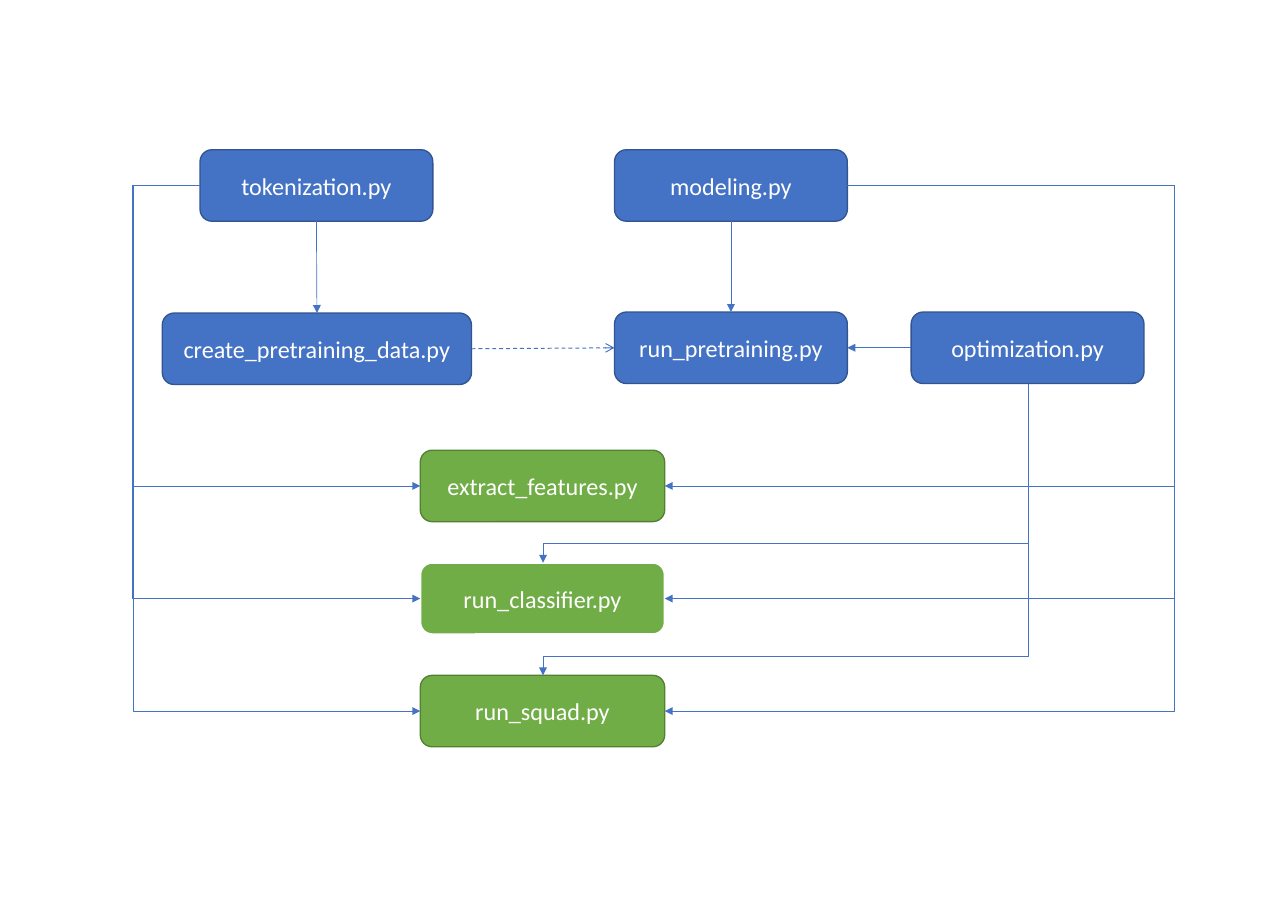
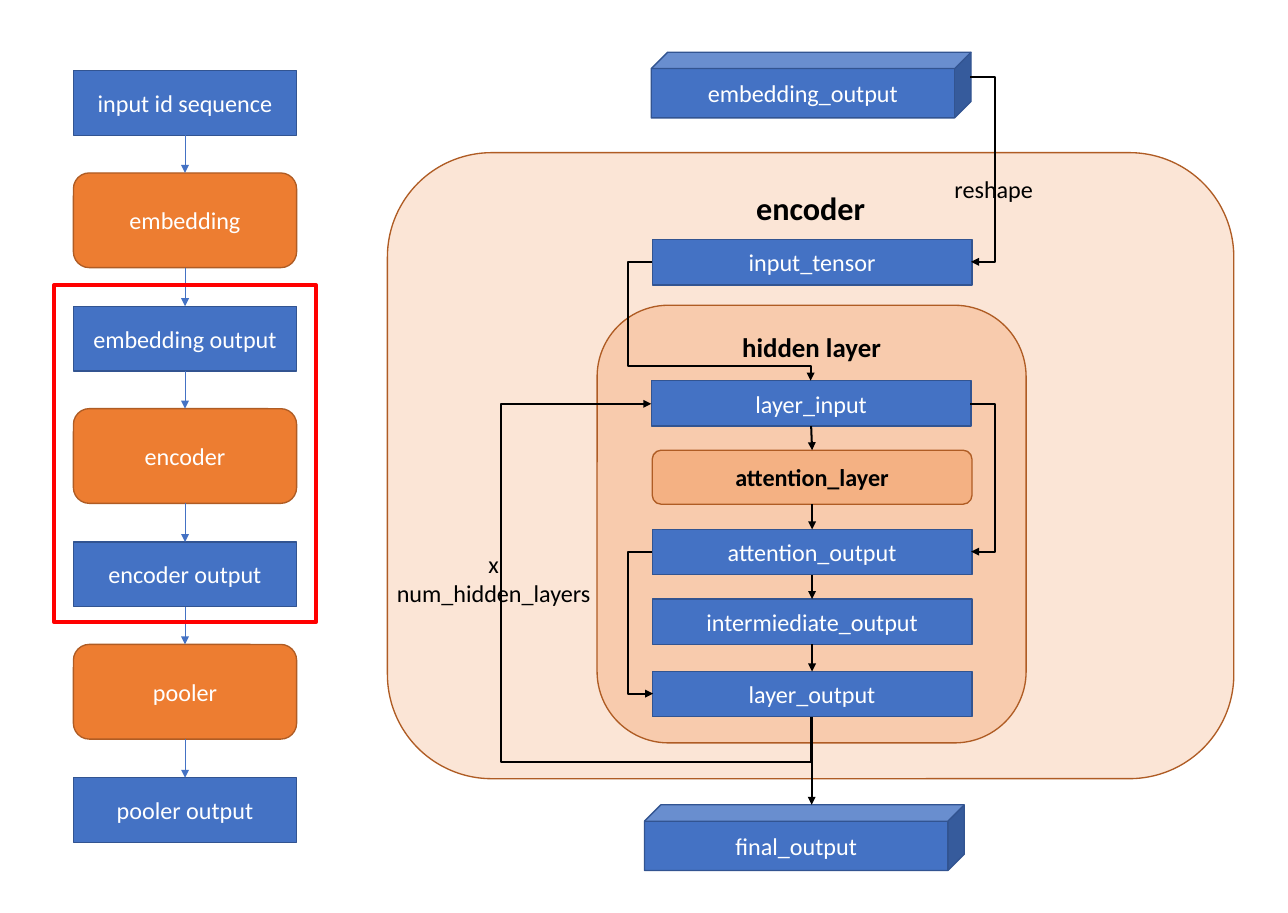
from lxml import etree
from pptx import Presentation
from pptx import util as u
from pptx.dml import color
from pptx.enum import dml, shapes, text
from pptx.oxml import ns

HUES = {"blue": "4472C4", "navy": "325491", "green": "70AD47", "moss": "538035",
        "orange": "ED7D31", "rust": "AF5C24", "cream": "FBE5D6", "peach": "F8CBAD",
        "sand": "F4B183", "red": "FF0000", "white": "FFFFFF", "black": "000000"}
FORMS = {"rect": shapes.MSO_SHAPE.RECTANGLE, "round": shapes.MSO_SHAPE.ROUNDED_RECTANGLE,
         "cube": shapes.MSO_SHAPE.CUBE}
TOP, LEFT, BOTTOM, RIGHT = range(4)
THIN = {"hue": "blue", "width": 0.5}
BOLD = {"hue": "black", "width": 1.5}


def paint(hue):
    """Return the named colour."""
    return color.RGBColor.from_string(HUES[hue])


def apply(item, **values):
    """Set each value as an attribute of the item."""
    for name, value in values.items():
        setattr(item, name, value)


class Deck:
    """Hold the shared style and the current slide."""

    font = "Calibri"
    size = 18

    def __init__(self, wide, high):
        """Start a deck of the given size."""
        self.show = Presentation()
        apply(self.show, slide_width=u.Inches(wide), slide_height=u.Inches(high))

    def page(self):
        """Add a blank slide and make it current."""
        self.items = self.show.slides.add_slide(self.show.slide_layouts[6]).shapes

    def letter(self, shape, words, hue, size=size, bold=False, align="CENTER", anchor="MIDDLE"):
        """Put one styled paragraph in a shape."""
        frame = shape.text_frame
        apply(frame, word_wrap=True, vertical_anchor=getattr(text.MSO_ANCHOR, anchor))
        para = frame.paragraphs[0]
        para.alignment = getattr(text.PP_ALIGN, align)
        run = para.add_run()
        run.text = words
        apply(run.font, name=self.font, size=u.Pt(size), bold=bold)
        run.font.color.rgb = paint(hue)

    def box(self, area, words="", form="rect", fill="blue", edge="navy", width=1,
            hue="white", **style):
        """Add a preset shape, with a label if there are words."""
        shape = self.items.add_shape(FORMS[form], *map(u.Inches, area))
        shape.shadow.inherit = False
        if fill:
            shape.fill.solid()
            shape.fill.fore_color.rgb = paint(fill)
        else:
            shape.fill.background()
        shape.line.color.rgb = paint(edge)
        shape.line.width = u.Pt(width)
        if words:
            self.letter(shape, words, hue, **style)
        return shape

    def label(self, area, words, align):
        """Add a plain text box."""
        shape = self.items.add_textbox(*map(u.Inches, area))
        self.letter(shape, words, "black", align=align, anchor="TOP")

    def wire(self, start, end, hue, width, kind="STRAIGHT", dash=None, tip="triangle",
             side="tailEnd"):
        """Add a connector with one arrowhead."""
        wire = self.items.add_connector(getattr(shapes.MSO_CONNECTOR, kind),
                                        *map(u.Inches, (*start, *end)))
        wire.line.color.rgb = paint(hue)
        apply(wire.line, width=u.Pt(width), dash_style=dash)
        line = wire.line._get_or_add_ln()
        etree.SubElement(line, ns.qn("a:" + side), type=tip)
        etree.SubElement(wire._element.spPr, ns.qn("a:effectLst"))
        return wire

    def link(self, one, out, two, into, style, **more):
        """Join the sides of two shapes with a straight arrow."""
        wire = self.wire((0, 0), (1, 1), **style, **more)
        wire.begin_connect(one, out)
        wire.end_connect(two, into)

    def bend(self, start, end, style, x, y=None, **more):
        """Add an elbow that turns at x, and at y if it ends upright."""
        wire = self.wire(start, end, kind="ELBOW", **style, **more)
        turns = [(x - start[0]) / (end[0] - start[0])]
        if y is not None:
            turns.append((y - start[1]) / (end[1] - start[1]))
        self.tune(wire, turns)

    def drop(self, start, end, style, y):
        """Add an elbow that goes down, left at y, and down again."""
        midx, midy = (start[0] + end[0]) / 2, (start[1] + end[1]) / 2
        halfx, halfy = (start[0] - end[0]) / 2, (end[1] - start[1]) / 2
        wire = self.wire((midx - halfy, midy - halfx), (midx + halfy, midy + halfx),
                         kind="ELBOW", **style)
        wire._element.spPr.find(ns.qn("a:xfrm")).set("rot", "5400000")
        self.tune(wire, [(y - start[1]) / (end[1] - start[1])])

    def tune(self, wire, turns):
        """Set where an elbow turns, as shares of its extent."""
        geom = wire._element.spPr.find(ns.qn("a:prstGeom"))
        geom.set("prst", f"bentConnector{len(turns) + 2}")
        marks = geom.find(ns.qn("a:avLst"))
        if marks is None:
            marks = etree.SubElement(geom, ns.qn("a:avLst"))
        for num, turn in enumerate(turns, 1):
            etree.SubElement(marks, ns.qn("a:gd"), name=f"adj{num}",
                             fmla=f"val {round(turn * 100000)}")


def files(deck):
    """Draw how the scripts depend on each other."""
    deck.page()
    high = 0.74
    spots = {"tokenization": (2.07, 1.55, 2.41), "create_pretraining_data": (1.68, 3.24, 3.2),
             "optimization": (9.43, 3.23, 2.41), "modeling": (6.36, 1.55, 2.41),
             "run_pretraining": (6.36, 3.23, 2.41)}
    token, data, optim, model, train = [
        deck.box((*spot, high), name + ".py", "round") for name, spot in spots.items()]
    deck.link(model, BOTTOM, train, TOP, THIN)
    deck.link(optim, LEFT, train, RIGHT, THIN)
    deck.link(token, BOTTOM, data, TOP, THIN)
    deck.link(data, RIGHT, train, LEFT, {"hue": "blue", "width": 0.75},
              dash=dml.MSO_LINE.DASH, tip="arrow")

    tasks = [("extract_features", "moss", 1, 1.37), ("run_classifier", "white", 1.5, 1.37),
             ("run_squad", "moss", 1, 1.38)]
    for row, (name, edge, width, lane) in enumerate(tasks):
        top = 4.66 + 1.165 * row
        mid = top + high / 2
        deck.box((4.35, top, 2.53, high), name + ".py", "round", "green", edge, width)
        deck.bend((2.07, 1.92), (4.35, mid), THIN, lane)
        deck.bend((8.77, 1.92), (6.88, mid), THIN, 12.15)
        if row:
            deck.drop((10.64, 3.97), (5.62, top), THIN, top - 0.2)


def flow(deck):
    """Draw the steps from input to pooler output."""
    steps = ["input id sequence", "embedding", "embedding output", "encoder",
             "encoder output", "pooler", "pooler output"]
    last = None
    for num, name in enumerate(steps):
        pair, odd = divmod(num, 2)
        top = 0.73 + 2.44 * pair + 1.06 * odd
        look = ("round", "orange", "rust") if odd else ("rect", "blue", "navy")
        step = deck.box((0.76, top, 2.31, 0.98 if odd else 0.67), name, *look)
        if last:
            deck.link(last, BOTTOM, step, TOP, THIN)
        last = step
    deck.box((0.56, 2.95, 2.71, 3.49), fill=None, edge="red", width=3)


def layers(deck):
    """Draw the inside of the encoder."""
    left, wide, high = 6.75, 3.31, 0.47
    head = {"hue": "black", "bold": True}
    deck.box((6.74, 0.54, wide, 0.68), "embedding_output", "cube")
    deck.box((4.01, 1.58, 8.76, 6.48), "encoder", "round", "cream", "rust",
             size=24, anchor="TOP", **head)
    deck.box((left, 2.48, wide, high), "input_tensor")
    deck.bend((10.04, 0.8), (10.05, 2.71), BOLD, 10.3)
    deck.label((9.78, 1.76, 1.19, 0.4), "reshape", "LEFT")
    deck.box((6.18, 3.16, 4.44, 4.53), "hidden layer", "round", "peach", "rust",
             size=20, anchor="TOP", **head)
    stack = [deck.box((6.74, 3.94, wide, high), "layer_input"),
             deck.box((left, 4.66, wide, 0.56), "attention_layer", "round", "sand", "rust", **head)]
    for name, top in (("attention_output", 5.48), ("intermiediate_output", 6.2),
                      ("layer_output", 6.95)):
        stack.append(deck.box((left, top, wide, high), name))
    for one, two in zip(stack, stack[1:]):
        deck.link(one, BOTTOM, two, TOP, BOLD)
    deck.box((6.67, 8.33, wide, 0.68), "final_output", "cube")
    deck.wire((8.4, 7.42), (8.4, 8.33), **BOLD)
    deck.bend((left, 2.71), (8.39, 3.94), BOLD, 6.5, 3.79)
    deck.bend((10.04, 4.18), (10.05, 5.71), BOLD, 10.3)
    deck.bend((left, 5.71), (left + 0.01, 7.18), BOLD, 6.5)
    deck.bend((6.74, 4.18), (8.39, 7.42), BOLD, 5.18, 7.89, side="headEnd")
    deck.label((3.93, 5.64, 2.36, 0.71), "x num_hidden_layers", "CENTER")


deck = Deck(13.33, 9.45)
files(deck)
deck.page()
flow(deck)
layers(deck)
deck.show.save("out.pptx")
